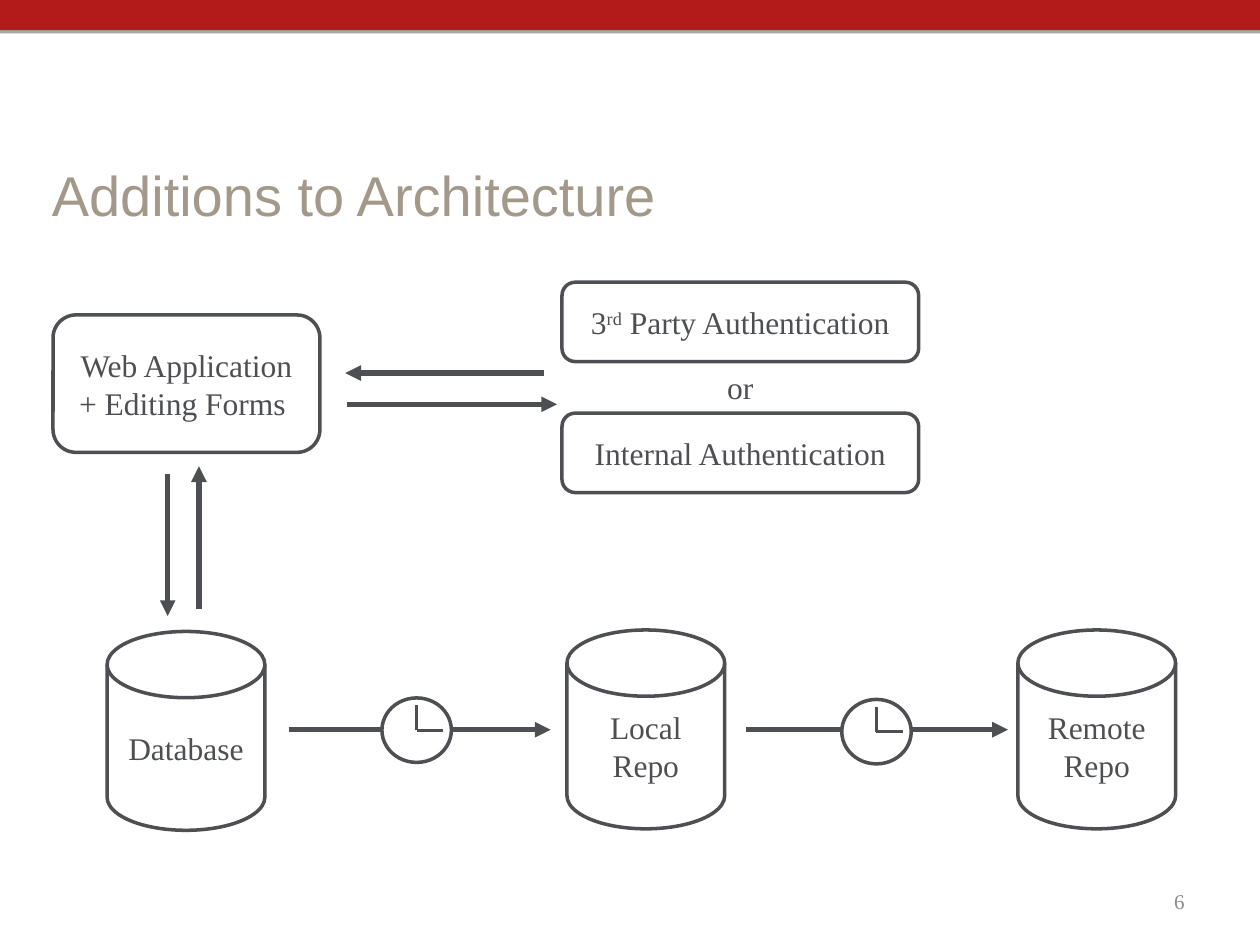
from dataclasses import dataclass

from lxml.etree import SubElement
from pptx import Presentation
from pptx.dml.color import RGBColor
from pptx.enum.shapes import MSO_CONNECTOR, MSO_SHAPE
from pptx.enum.text import MSO_ANCHOR, PP_ALIGN
from pptx.oxml.ns import qn
from pptx.util import Cm, Pt

RED = RGBColor(0xB3, 0x1B, 0x1B)
TAN = RGBColor(0xA2, 0x99, 0x8B)
SLATE = RGBColor(0x4D, 0x4F, 0x53)
GRAY = RGBColor(0x8B, 0x8B, 0x8B)
WHITE = RGBColor(0xFF, 0xFF, 0xFF)
SERIF = "Times New Roman"


@dataclass
class Box:
    left: float
    top: float
    width: float
    height: float

    def lengths(self):
        return Cm(self.left), Cm(self.top), Cm(self.width), Cm(self.height)


def write(shape, lines, size=18, color=SLATE, align=PP_ALIGN.CENTER,
          anchor=MSO_ANCHOR.MIDDLE, font=SERIF):
    frame = shape.text_frame
    frame.word_wrap = True
    frame.vertical_anchor = anchor
    frame.text = "\n".join(lines)
    for paragraph in frame.paragraphs:
        paragraph.alignment = align
        paragraph.font.name = font
        paragraph.font.size = Pt(size)
        paragraph.font.color.rgb = color


def add_outlined(shapes, kind, box, lines=()):
    shape = shapes.add_shape(kind, *box.lengths())
    shape.shadow.inherit = False
    shape.fill.solid()
    shape.fill.fore_color.rgb = WHITE
    shape.line.color.rgb = SLATE
    shape.line.width = Pt(2)
    if lines:
        write(shape, lines)
    return shape


def add_line(shapes, start, end, width=3, arrow=True):
    points = [Cm(value) for value in (*start, *end)]
    connector = shapes.add_connector(MSO_CONNECTOR.STRAIGHT, *points)
    connector.line.color.rgb = SLATE
    connector.line.width = Pt(width)
    if arrow:
        SubElement(connector.line._get_or_add_ln(), qn("a:tailEnd"), type="triangle")
    SubElement(connector._element.spPr, qn("a:effectLst"))


def add_top_bar(slide, box):
    bar = slide.shapes.add_shape(MSO_SHAPE.RECTANGLE, *box.lengths())
    bar.fill.solid()
    bar.fill.fore_color.rgb = RED
    bar.line.fill.background()
    bar.shadow.inherit = False
    effects = bar._element.spPr.find(qn("a:effectLst"))
    shadow = SubElement(effects, qn("a:outerShdw"), blurRad="0",
                        dist=str(Pt(1.8)), dir="5400000", rotWithShape="0")
    color = SubElement(shadow, qn("a:srgbClr"), val="000000")
    SubElement(color, qn("a:alpha"), val="35000")


def place_title(slide, box):
    title = slide.shapes.title
    title.left, title.top, title.width, title.height = box.lengths()
    write(title, ["Additions to Architecture"], 32, TAN, PP_ALIGN.LEFT, font="Arial")


def add_authentication(slide, box):
    height = 1.6
    third_party = add_outlined(slide.shapes, MSO_SHAPE.ROUNDED_RECTANGLE,
                               Box(box.left, box.top, box.width, height), ["3"])
    paragraph = third_party.text_frame.paragraphs[0]
    ordinal = paragraph.add_run()
    ordinal.text = "rd"
    ordinal.font._element.set("baseline", "30000")
    paragraph.add_run().text = " Party Authentication"

    bottom = box.top + box.height
    add_outlined(slide.shapes, MSO_SHAPE.ROUNDED_RECTANGLE,
                 Box(box.left, bottom - height, box.width, height),
                 ["Internal Authentication"])
    gap = Box(box.left, box.top + height, box.width, box.height - 2 * height)
    choice = slide.shapes.add_textbox(*gap.lengths())
    write(choice, ["or"], anchor=MSO_ANCHOR.TOP)


def add_clock(slide, box):
    clock = slide.shapes.add_group_shape()
    add_outlined(clock.shapes, MSO_SHAPE.OVAL, box)
    center = (box.left + box.width / 2, box.top + box.height / 2)
    add_line(clock.shapes, (box.left + box.width - 0.16, center[1]), center, 1.5, False)
    add_line(clock.shapes, center, (center[0], box.top + 0.15), 1.5, False)


def add_web_application(slide, box):
    add_outlined(slide.shapes, MSO_SHAPE.ROUNDED_RECTANGLE, box,
                 ["Web Application + Editing Forms "])
    right, bottom = box.left + box.width, box.top + box.height
    request_y, reply_y = box.top + 1.8, box.top + 1.17
    write_x, read_x = box.left + 2.31, box.left + 2.94
    add_line(slide.shapes, (right + 0.54, request_y), (right + 4.78, request_y))
    add_line(slide.shapes, (right + 4.52, reply_y), (right + 0.51, reply_y))
    add_line(slide.shapes, (write_x, bottom + 0.43), (write_x, bottom + 3.3))
    add_line(slide.shapes, (read_x, bottom + 3.15), (read_x, bottom + 0.28))


def add_storage_row(slide, box):
    disks = [
        (0, 0.03, ["Database"]),
        (9.27, 0, ["Local", "Repo"]),
        (18.36, 0, ["Remote Repo"]),
    ]
    for left, top, lines in disks:
        add_outlined(slide.shapes, MSO_SHAPE.FLOWCHART_MAGNETIC_DISK,
                     Box(box.left + left, box.top + top, 3.18, 4.01), lines)
    arrow_y = box.top + 2.01
    for arrow_left, clock_left, clock_top in [(3.66, 5.54, 1.37), (12.88, 14.81, 1.4)]:
        start = box.left + arrow_left
        add_line(slide.shapes, (start, arrow_y), (start + 5.28, arrow_y))
        add_clock(slide, Box(box.left + clock_left, box.top + clock_top, 1.4, 1.3))


def add_page_number(slide, box):
    number = slide.shapes.add_textbox(*box.lengths())
    write(number, ["6"], 12, GRAY, PP_ALIGN.RIGHT)


def main():
    presentation = Presentation()
    presentation.slide_width, presentation.slide_height = Cm(25.4), Cm(19.05)
    slide = presentation.slides.add_slide(presentation.slide_layouts[5])
    add_top_bar(slide, Box(0, 0, 25.4, 0.61))
    place_title(slide, Box(0.79, 2.97, 24.1, 1.9))
    add_web_application(slide, Box(1.07, 6.35, 5.38, 2.77))
    add_authentication(slide, Box(11.33, 5.69, 7.19, 4.24))
    add_storage_row(slide, Box(2.16, 12.7, 21.54, 4.04))
    add_page_number(slide, Box(18.21, 17.65, 5.92, 1.02))
    presentation.save("out.pptx")


if __name__ == "__main__":
    main()
